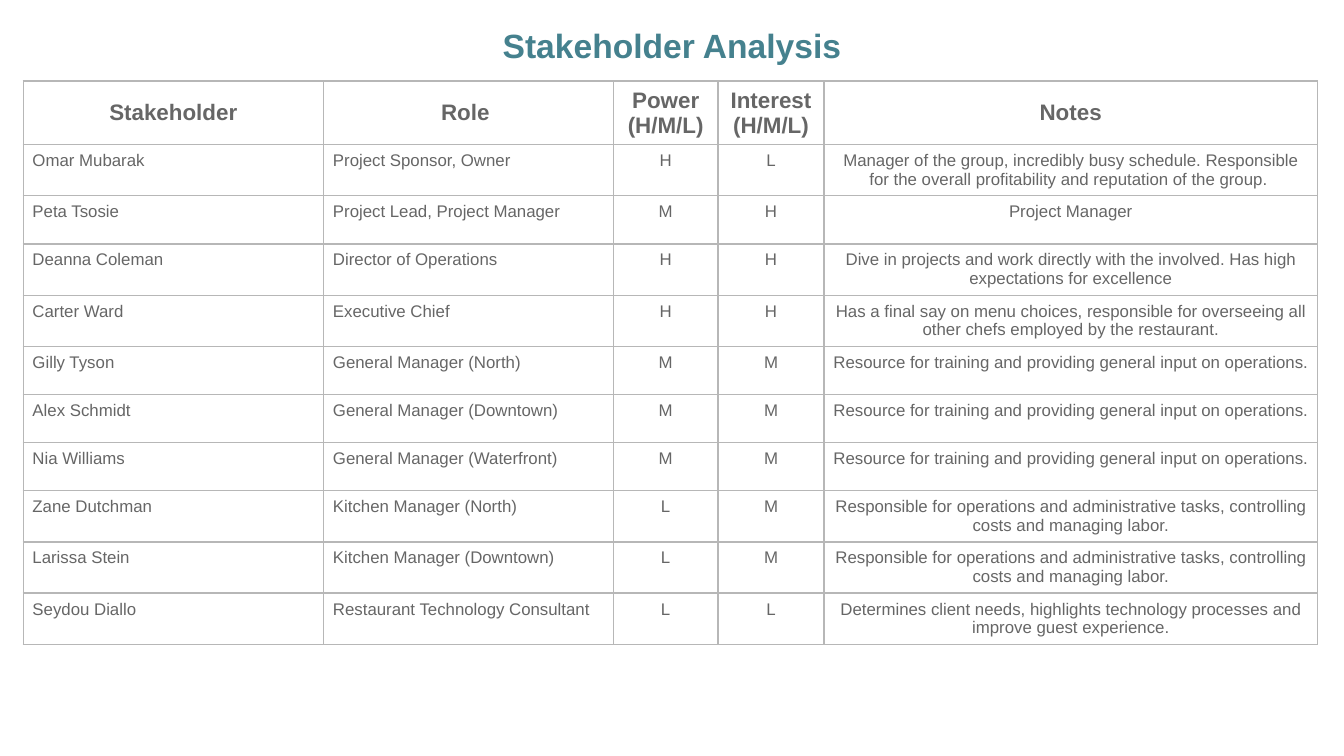
import lxml.etree
import pptx
import pptx.dml.color
import pptx.enum.text
import pptx.oxml.ns
import pptx.util
from dataclasses import dataclass

Pt = pptx.util.Pt
ALIGN = pptx.enum.text.PP_ALIGN
ANCHOR = pptx.enum.text.MSO_ANCHOR


# Colours and type sizes
@dataclass(frozen=True)
class Theme:
    font: str = "Arial"
    title_color: str = "45818E"
    text_color: str = "666666"
    border_color: str = "B7B7B7"
    title_size: float = 18
    header_size: float = 12
    body_size: float = 9
    border_width: float = 0.75


THEME = Theme()

HEADERS = ["Stakeholder", "Role ", "Power (H/M/L)", "Interest (H/M/L)", "Notes"]
COLUMN_WIDTHS = [161, 155.2, 56.1, 56.8, 264.3]
LEFT_COLUMNS = 2
HEADER_HEIGHT, BODY_HEIGHT = 20, 25.8

TRAINING = "Resource for training and providing general input on operations."
KITCHEN = ("Responsible for operations and administrative tasks, "
           "controlling costs and managing labor.")
STAKEHOLDERS = [
    ("Omar Mubarak", "Project Sponsor, Owner", "H", "L",
     "Manager of the group, incredibly busy schedule. Responsible for the "
     "overall profitability and reputation of the group. "),
    ("Peta Tsosie", "Project Lead, Project Manager", "M", "H", "Project Manager"),
    ("Deanna Coleman", "Director of Operations", "H", "H",
     "Dive in projects and work directly with the involved. Has high "
     "expectations for excellence"),
    ("Carter Ward", "Executive Chief", "H", "H",
     "Has a final say on menu choices, responsible for overseeing all other "
     "chefs employed by the restaurant."),
    ("Gilly Tyson", "General Manager (North)", "M", "M", TRAINING + " "),
    ("Alex Schmidt", "General Manager (Downtown)", "M", "M", TRAINING + " "),
    ("Nia Williams", "General Manager (Waterfront)", "M", "M", TRAINING),
    ("Zane Dutchman", "Kitchen Manager (North)", "L", "M", KITCHEN),
    ("Larissa Stein", "Kitchen Manager (Downtown)", "L", "M", KITCHEN),
    ("Seydou Diallo", "Restaurant Technology Consultant", "L", "L",
     "Determines client needs, highlights technology processes and improve "
     "guest experience."),
]


def format_paragraph(paragraph, size, color, bold, alignment):
    paragraph.alignment = alignment
    for run in paragraph.runs:
        run.font.name = THEME.font
        run.font.size = Pt(size)
        run.font.bold = bold
        run.font.color.rgb = pptx.dml.color.RGBColor.from_string(color)


def add_borders(cell):
    properties = cell._tc.get_or_add_tcPr()
    qn = pptx.oxml.ns.qn
    for position, side in enumerate(("a:lnL", "a:lnR", "a:lnT", "a:lnB")):
        line = lxml.etree.Element(qn(side), w=str(Pt(THEME.border_width)))
        fill = lxml.etree.SubElement(line, qn("a:solidFill"))
        lxml.etree.SubElement(fill, qn("a:srgbClr"), val=THEME.border_color)
        properties.insert(position, line)


# Title
def place_title(slide, text, left, top, width, height):
    title = slide.shapes.title
    title.left, title.top, title.width, title.height = map(
        Pt, (left, top, width, height))
    frame = title.text_frame
    frame.text = text
    frame.word_wrap = True
    frame.auto_size = pptx.enum.text.MSO_AUTO_SIZE.NONE
    frame.vertical_anchor = ANCHOR.TOP
    frame.margin_left = frame.margin_right = Pt(7.2)
    frame.margin_top = frame.margin_bottom = Pt(7.2)
    paragraph = frame.paragraphs[0]
    paragraph.line_spacing = 1.15
    format_paragraph(paragraph, THEME.title_size, THEME.title_color, True,
                     ALIGN.CENTER)


# Table cell
def fill_cell(cell, text, is_header, alignment):
    cell.text_frame.text = text
    cell.vertical_anchor = ANCHOR.MIDDLE if is_header else ANCHOR.TOP
    cell.margin_left = cell.margin_right = Pt(5.04)
    cell.margin_top = cell.margin_bottom = Pt(3.6)
    cell.fill.background()
    add_borders(cell)
    size = THEME.header_size if is_header else THEME.body_size
    format_paragraph(cell.text_frame.paragraphs[0], size, THEME.text_color,
                     is_header, alignment)


# Stakeholder table
def place_table(slide, left, top, width, height):
    rows = [HEADERS, *STAKEHOLDERS]
    graphic_frame = slide.shapes.add_table(
        len(rows), len(HEADERS), Pt(left), Pt(top), Pt(width), Pt(height))
    table = graphic_frame.table
    table.first_row = table.horz_banding = False
    scale = width / sum(COLUMN_WIDTHS)
    for column, column_width in zip(table.columns, COLUMN_WIDTHS):
        column.width = Pt(column_width * scale)
    for row_index, texts in enumerate(rows):
        is_header = row_index == 0
        table.rows[row_index].height = Pt(HEADER_HEIGHT if is_header else BODY_HEIGHT)
        for column_index, text in enumerate(texts):
            is_left = not is_header and column_index < LEFT_COLUMNS
            fill_cell(table.cell(row_index, column_index), text, is_header,
                      ALIGN.LEFT if is_left else ALIGN.CENTER)
    graphic_frame.height = Pt(height)


def build_slide(presentation):
    slide = presentation.slides.add_slide(presentation.slide_layouts[5])
    place_title(slide, "Stakeholder Analysis", 60, 3, 600, 36)
    place_table(slide, 12.4, 43.4, 693.4, 327.6)


presentation = pptx.Presentation()
presentation.slide_width = Pt(720)
presentation.slide_height = Pt(405)
build_slide(presentation)
presentation.save("out.pptx")
